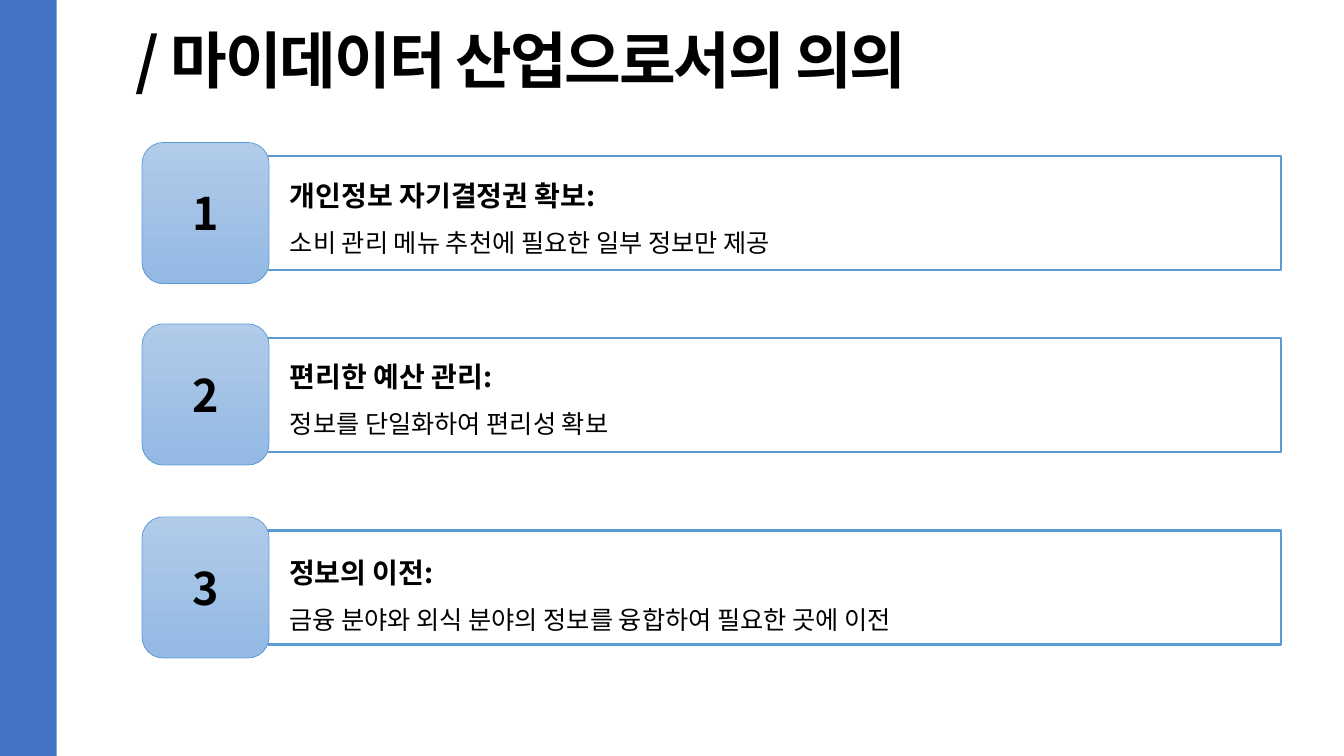
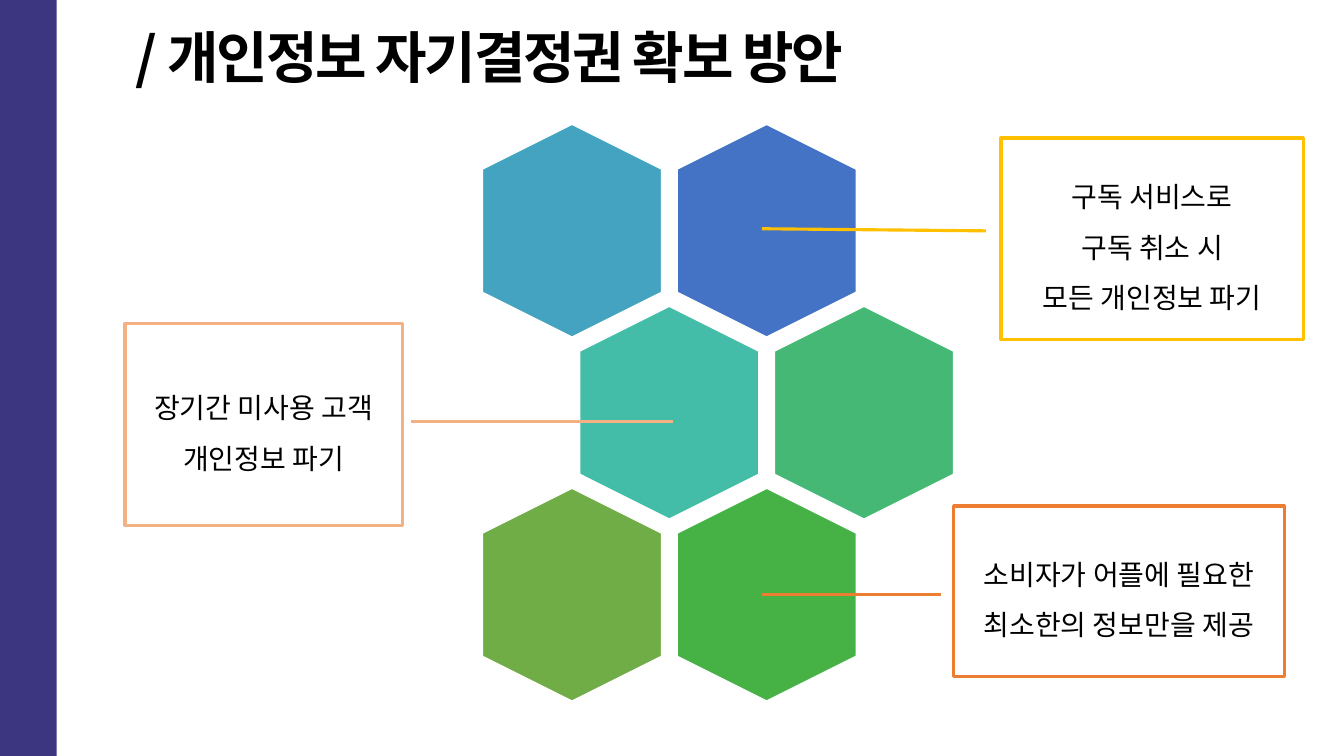
from lxml.etree import SubElement
from pptx import Presentation
from pptx.dml.color import RGBColor
from pptx.enum.shapes import MSO_CONNECTOR, MSO_SHAPE
from pptx.enum.text import MSO_ANCHOR, PP_ALIGN
from pptx.oxml.ns import qn
from pptx.util import Pt

FONT = "Noto Sans CJK KR"
COLORS = {
    "text": "000000", "white": "FFFFFF", "blue": "4472C4", "violet": "3C357F",
    "frame": "5B9BD5", "light": "B1CBE9", "mid": "93B9E4",
    "gold": "FFC000", "peach": "F4B183", "orange": "ED7D31",
    "cyan": "44A3C0", "teal": "43BDA7", "mint": "44B874",
    "green": "46B246", "olive": "70AD47",
}

# frame top, text left, text top, heading, detail
ROWS = [
    (111.6, 200, 112.3, "개인정보 자기결정권 확보:", "소비 관리 메뉴 추천에 필요한 일부 정보만 제공"),
    (241.2, 200, 241.2, "편리한 예산 관리:", "정보를 단일화하여 편리성 확보"),
    (379, 199.5, 381.6, "정보의 이전:", "금융 분야와 외식 분야의 정보를 융합하여 필요한 곳에 이전"),
]

HEXES = [("cyan", "blue"), ("teal", "mint"), ("olive", "green")]

# colour, box, line start and end, paragraphs
NOTES = [
    ("gold", (715, 98.6, 216, 144), (544.3, 163.4, 704.2, 164.9),
     ["구독 서비스로", "구독 취소 시", "모든 개인정보 파기"]),
    ("peach", (89.3, 231.1, 198, 144), (293.8, 301, 481, 301),
     ["장기간 미사용 고객", "개인정보 파기"]),
    ("orange", (681.1, 361.4, 236.2, 121.7), (544.3, 424.8, 672.5, 424.8),
     ["소비자가 어플에 필요한 최소한의 정보만을 제공"]),
]


def rgb(name):
    return RGBColor.from_string(COLORS[name])


def pts(*nums):
    return [Pt(n) for n in nums]


def style(par, size, bold=False, gap=1.5, align=PP_ALIGN.LEFT, track=None):
    par.alignment = align
    par.line_spacing = gap
    for run in par.runs:
        font = run.font
        font.name, font.size, font.bold = FONT, Pt(size), bold
        font.color.rgb = rgb("text")
        props = run._r.get_or_add_rPr()
        SubElement(props, qn("a:ea")).set("typeface", FONT)
        if track:
            props.set("spc", str(track))


def add_box(slide, kind, place, fill=None, line=None, width=1):
    box = slide.shapes.add_shape(kind, *pts(*place))
    box.shadow.inherit = False
    if fill:
        box.fill.solid()
        box.fill.fore_color.rgb = rgb(fill)
    else:
        box.fill.background()
    if line:
        box.line.color.rgb = rgb(line)
        box.line.width = Pt(width)
    else:
        box.line.fill.background()
    return box


def add_line(slide, ends, color):
    line = slide.shapes.add_connector(MSO_CONNECTOR.STRAIGHT, *pts(*ends))
    line.line.color.rgb = rgb(color)
    line.line.width = Pt(2.25)
    SubElement(line._element.spPr, qn("a:effectLst"))


def add_slide(deck, text, size, band):
    slide = deck.slides.add_slide(deck.slide_layouts[5])
    add_box(slide, MSO_SHAPE.RECTANGLE, (0, 0, 40.5, 540), band)
    title = slide.shapes.title
    title.left, title.top, title.width, title.height = pts(89.3, 18, 705, 66)
    frame = title.text_frame
    frame.text = text
    frame.vertical_anchor = MSO_ANCHOR.TOP
    style(frame.paragraphs[0], size, True, gap=0.9, track=-150)
    return slide


def add_row(slide, num, top, left, text_top, head, detail):
    add_box(slide, MSO_SHAPE.RECTANGLE, (180.7, top, 734.4, 81.4),
            line="frame", width=1.5)
    badge = add_box(slide, MSO_SHAPE.ROUNDED_RECTANGLE,
                    (101.5, top - 9.8, 90.7, 100.8), line="frame", width=0.5)
    badge.fill.gradient()
    badge.fill.gradient_angle = 270
    for stop, color in zip(badge.fill.gradient_stops, ("light", "mid")):
        stop.color.rgb = rgb(color)
    badge.text_frame.text = str(num)
    badge.text_frame.vertical_anchor = MSO_ANCHOR.MIDDLE
    style(badge.text_frame.paragraphs[0], 32, True, 1, PP_ALIGN.CENTER)

    frame = slide.shapes.add_textbox(*pts(left, text_top, 707, 92)).text_frame
    frame.word_wrap = True
    frame.text = f"{head}\n{detail}"
    style(frame.paragraphs[0], 20, True)
    style(frame.paragraphs[1], 18)


def add_hexes(slide):
    """Honeycomb whose odd rows shift by half a column."""
    step, drop = 139, 130
    for row, names in enumerate(HEXES):
        for col, name in enumerate(names):
            left = 332.6 + step * (col + row % 2 / 2)
            cell = add_box(slide, MSO_SHAPE.HEXAGON,
                           (left, 100.8 + drop * row, 152, 128), name, "white")
            cell.rotation = 90


def add_note(slide, color, place, ends, lines):
    add_line(slide, ends, color)
    box = add_box(slide, MSO_SHAPE.RECTANGLE, place, "white", color, 2.25)
    frame = box.text_frame
    frame.word_wrap = True
    frame.vertical_anchor = MSO_ANCHOR.MIDDLE
    frame.text = "\n".join(lines)
    for par in frame.paragraphs:
        style(par, 20, align=PP_ALIGN.CENTER)


def main():
    deck = Presentation()
    deck.slide_width, deck.slide_height = pts(960, 540)

    slide = add_slide(deck, "/ 마이데이터 산업으로서의 의의", 44, "blue")
    for num, row in enumerate(ROWS, 1):
        add_row(slide, num, *row)

    slide = add_slide(deck, "/ 개인정보 자기결정권 확보 방안", 40, "violet")
    add_hexes(slide)
    for note in NOTES:
        add_note(slide, *note)

    deck.save("out.pptx")


if __name__ == "__main__":
    main()
